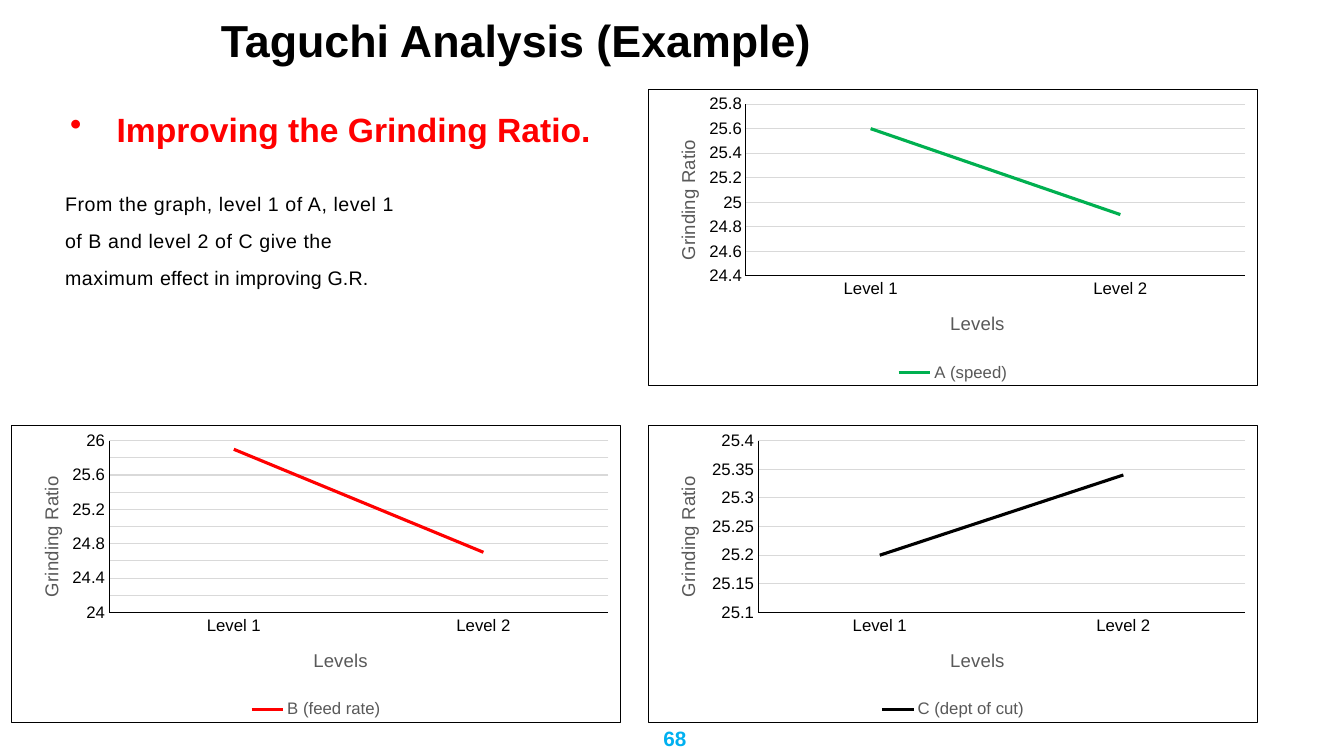
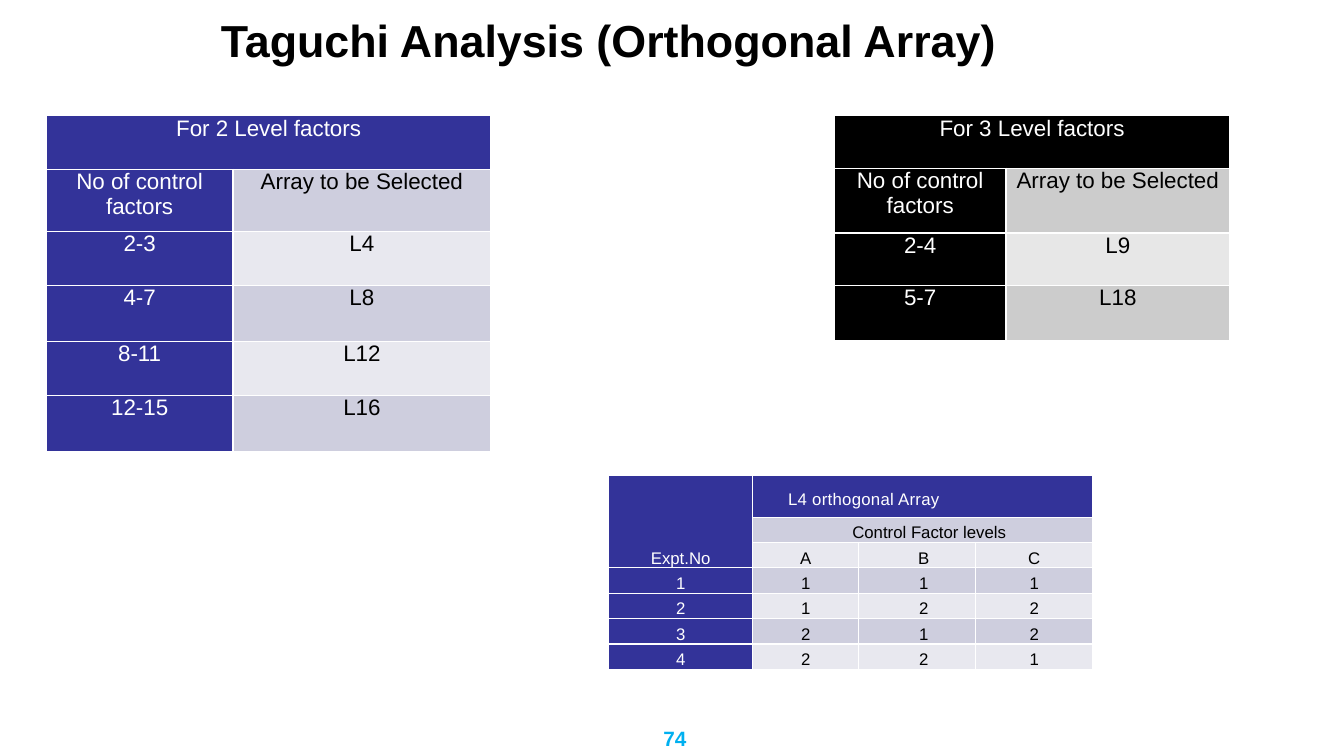
from dataclasses import dataclass

from pptx import Presentation
from pptx.chart.data import CategoryChartData
from pptx.dml.color import RGBColor
from pptx.enum.chart import XL_CHART_TYPE, XL_LEGEND_POSITION, XL_TICK_MARK
from pptx.enum.text import MSO_ANCHOR, MSO_AUTO_SIZE, PP_ALIGN
from pptx.oxml import parse_xml
from pptx.oxml.ns import nsdecls
from pptx.util import Cm, Pt

LINE_CHART = XL_CHART_TYPE.LINE
LEGEND_BOTTOM = XL_LEGEND_POSITION.BOTTOM
NO_TICK = XL_TICK_MARK.NONE
TOP, MIDDLE, BOTTOM = MSO_ANCHOR.TOP, MSO_ANCHOR.MIDDLE, MSO_ANCHOR.BOTTOM
NO_FIT = MSO_AUTO_SIZE.NONE
LEFT, CENTER = PP_ALIGN.LEFT, PP_ALIGN.CENTER
TITLE_ONLY = 5


@dataclass(frozen=True)
class Theme:
    font: str = "Arial"
    black: str = "000000"
    white: str = "FFFFFF"
    red: str = "FF0000"
    green: str = "00B050"
    cyan: str = "00B0F0"
    gray: str = "595959"
    grid: str = "D9D9D9"
    indigo_table: tuple = ("333399", "CECEDE", "E8E8EF")
    black_table: tuple = ("000000", "CCCCCC", "E7E7E7")
    title_size: float = 32
    heading_size: float = 24
    table_size: float = 16
    page_size: float = 14.8
    body_size: float = 14
    axis_title_size: float = 13.3
    small_size: float = 12
    table_line: float = 17.8


THEME = Theme()


def style_font(font, size, color, bold=False):
    font.name = THEME.font
    font.size = Pt(size)
    font.bold = bold
    font.color.rgb = RGBColor.from_string(color)


def style_line(line, color, width):
    line.color.rgb = RGBColor.from_string(color)
    line.width = Pt(width)


def add_text_box(slide, left, top, width, height):
    shape = slide.shapes.add_textbox(Cm(left), Cm(top), Cm(width), Cm(height))
    shape.text_frame.word_wrap = True
    return shape.text_frame.paragraphs[0]


def add_titled_slide(presentation, title, page):
    slide = presentation.slides.add_slide(presentation.slide_layouts[TITLE_ONLY])
    shape = slide.shapes.title
    shape.left, shape.top, shape.width, shape.height = Cm(5.31), Cm(0.41), Cm(28.52), Cm(1.2)
    frame = shape.text_frame
    frame.text = title
    frame.auto_size = NO_FIT
    frame.vertical_anchor = MIDDLE
    frame.paragraphs[0].alignment = LEFT
    style_font(frame.paragraphs[0].runs[0].font, THEME.title_size, THEME.black, True)

    paragraph = add_text_box(slide, 15.65, 18.16, 2.72, 0.89)
    paragraph.text = page
    paragraph.alignment = CENTER
    style_font(paragraph.runs[0].font, THEME.page_size, THEME.cyan, True)
    return slide


def add_heading(slide, left, top, width, text):
    paragraph = add_text_box(slide, left, top, width, 1.8)
    paragraph.text = text
    paragraph.line_spacing = 1.5
    properties = paragraph._p.get_or_add_pPr()
    properties.set("marL", str(Cm(1.17)))
    properties.set("indent", str(Cm(-1.17)))
    properties.append(parse_xml(f'<a:buChar {nsdecls("a")} char="•"/>'))
    style_font(paragraph.runs[0].font, THEME.heading_size, THEME.red, True)


def add_conclusion(slide, left, top, width, parts):
    paragraph = add_text_box(slide, left, top, width, 2.95)
    paragraph.line_spacing = 1.57
    paragraph._p.get_or_add_pPr().set("marL", str(Cm(0.25)))
    for text, spacing in parts:
        run = paragraph.add_run()
        run.text = text
        style_font(run.font, THEME.body_size, THEME.black)
        run._r.get_or_add_rPr().set("spc", str(spacing))


def make_layout(x, y, size=None):
    target = ""
    extent = ""
    if size:
        target = '<c:layoutTarget val="inner"/>'
        extent = f'<c:w val="{size[0]}"/><c:h val="{size[1]}"/>'
    return parse_xml(
        f'<c:layout {nsdecls("c")}><c:manualLayout>{target}'
        '<c:xMode val="edge"/><c:yMode val="edge"/>'
        f'<c:x val="{x}"/><c:y val="{y}"/>{extent}</c:manualLayout></c:layout>'
    )


def remove_layout(element):
    for layout in element.xpath("./c:layout"):
        element.remove(layout)


def style_axis(axis, title, x, y):
    axis.major_tick_mark = NO_TICK
    axis.minor_tick_mark = NO_TICK
    style_line(axis.format.line, THEME.black, 0.75)
    style_font(axis.tick_labels.font, THEME.small_size, THEME.black)
    frame = axis.axis_title.text_frame
    frame.text = title
    style_font(frame.paragraphs[0].runs[0].font, THEME.axis_title_size, THEME.gray)
    element = axis.axis_title.element
    remove_layout(element)
    element.xpath("./c:tx")[0].addnext(make_layout(x, y))


def add_level_chart(slide, left, top, name, values, scale, color, plot_left=0.16):
    data = CategoryChartData()
    data.categories = ["Level 1", "Level 2"]
    data.add_series(name, values)
    frame = slide.shapes.add_chart(LINE_CHART, Cm(left), Cm(top), Cm(15.37), Cm(7.49), data)
    chart = frame.chart
    chart.has_title = False
    style_font(chart.font, THEME.small_size, THEME.black)
    chart.has_legend = True
    chart.legend.position = LEGEND_BOTTOM
    chart.legend.include_in_layout = False
    style_font(chart.legend.font, THEME.small_size, THEME.gray)

    style_axis(chart.category_axis, "Levels", 0.49, 0.74)
    value_axis = chart.value_axis
    style_axis(value_axis, "Grinding Ratio", 0.04, 0.16)
    value_axis.minimum_scale, value_axis.maximum_scale, value_axis.major_unit = scale
    value_axis.tick_labels.number_format = "General"
    value_axis.tick_labels.number_format_is_linked = False
    value_axis.has_major_gridlines = True
    style_line(value_axis.major_gridlines.format.line, THEME.grid, 0.75)

    plot = chart.plots[0]
    plot.vary_by_categories = False
    plot.series[0].smooth = False
    style_line(plot.series[0].format.line, color, 2.25)

    area = chart.element.xpath(".//c:plotArea")[0]
    remove_layout(area)
    area.insert(0, make_layout(plot_left, 0.05, (round(0.98 - plot_left, 2), 0.58)))
    chart.element.xpath("./c:chart")[0].addnext(parse_xml(
        f'<c:spPr {nsdecls("c", "a")}>'
        f'<a:solidFill><a:srgbClr val="{THEME.white}"/></a:solidFill>'
        f'<a:ln w="{Pt(0.75)}"><a:solidFill><a:srgbClr val="{THEME.black}"/></a:solidFill></a:ln>'
        '</c:spPr>'
    ))


def style_cell(cell, fill, anchor, margin):
    cell.fill.solid()
    cell.fill.fore_color.rgb = RGBColor.from_string(fill)
    cell.vertical_anchor = anchor
    cell.margin_left = cell.margin_right = Cm(margin)
    cell.margin_top = cell.margin_bottom = Cm(0)
    properties = cell._tc.get_or_add_tcPr()
    for position, side in enumerate("LRTB"):
        properties.insert(position, parse_xml(
            f'<a:ln{side} {nsdecls("a")} w="{Pt(1)}"><a:solidFill>'
            f'<a:srgbClr val="{THEME.white}"/></a:solidFill></a:ln{side}>'
        ))


def add_grid(slide, left, top, widths, heights, rows, palette, size, anchor, margin, merges):
    frame = slide.shapes.add_table(
        len(rows), len(widths), Cm(left), Cm(top), Cm(sum(widths)), Cm(sum(heights)))
    table = frame.table
    table.first_row = table.horz_banding = False
    for column, width in zip(table.columns, widths):
        column.width = Cm(width)
    for row, height in zip(table.rows, heights):
        row.height = Cm(height)
    header, *bands = palette
    for row_index, texts in enumerate(rows):
        for column_index, text in enumerate(texts):
            cell = table.cell(row_index, column_index)
            is_header = row_index == 0 or column_index == 0
            fill = header if is_header else bands[(row_index - 1) % 2]
            style_cell(cell, fill, anchor, margin)
            paragraph = cell.text_frame.paragraphs[0]
            paragraph.alignment = CENTER
            paragraph.line_spacing = Pt(THEME.table_line)
            color = THEME.white if is_header else THEME.black
            style_font(paragraph.font, size, color)
            if text:
                paragraph.text = text
                style_font(paragraph.runs[0].font, size, color)
    for first, last in merges:
        table.cell(*first).merge(table.cell(*last))
    return table


def add_selection_table(slide, left, top, widths, heights, levels, choices, palette):
    rows = [(f"For {levels} Level factors", ""),
            ("No of control factors", "Array to be Selected"), *choices]
    add_grid(slide, left, top, widths, heights, rows, palette,
             THEME.table_size, TOP, 0.18, [((0, 0), (0, 1))])


def add_array_table(slide, left, top):
    rows = [
        ("Expt.No", "L4 orthogonal Array", "", ""),
        ("", "Control Factor levels", "", ""),
        ("", "A", "B", "C"),
        ("1", "1", "1", "1"),
        ("2", "1", "2", "2"),
        ("3", "2", "1", "2"),
        ("4", "2", "2", "1"),
    ]
    merges = [((0, 0), (2, 0)), ((0, 1), (0, 3)), ((1, 1), (1, 3))]
    table = add_grid(slide, left, top, (3.63, 2.67, 2.95, 2.95), [1.04] + [0.64] * 6, rows,
                     THEME.indigo_table, THEME.small_size, MIDDLE, 0, merges)
    table.cell(0, 0).vertical_anchor = BOTTOM
    array_title = table.cell(0, 1)
    array_title.margin_left = Cm(0.89)
    array_title.text_frame.paragraphs[0].alignment = LEFT
    array_title.text_frame.paragraphs[0].runs[0]._r.get_or_add_rPr().set("spc", "20")
    table.cell(1, 1).margin_left = Cm(0.33)
    for row_index in range(2, len(rows)):
        table.cell(row_index, 2).margin_left = Cm(0.33)


def build_example_slide(presentation):
    slide = add_titled_slide(presentation, "Taguchi Analysis (Example)", "68")
    add_heading(slide, 1.52, 2.1, 14.5, "Improving the Grinding Ratio.")
    add_conclusion(slide, 1.14, 4.38, 9.53, [
        ("From the graph, level 1 of A, level 1 of B and level 2 of C give the maximum ", 40),
        ("effect in improving G.R.", 10),
    ])
    left, right, upper, lower = 0.28, 16.33, 2.24, 10.72
    add_level_chart(slide, right, upper, "A (speed)", (25.6, 24.9), (24.4, 25.8, 0.2), THEME.green)
    add_level_chart(slide, left, lower, "B (feed rate)", (25.9, 24.7), (24, 26, 0.2), THEME.red)
    add_level_chart(slide, right, lower, "C (dept of cut)", (25.2, 25.34), (25.1, 25.4, 0.05),
                    THEME.black, 0.18)


def build_array_slide(presentation):
    slide = add_titled_slide(presentation, "Taguchi Analysis (Orthogonal Array)", "74")
    add_selection_table(
        slide, 1.17, 2.92, (4.7, 6.5), (1.35, 1.57, 1.35, 1.42, 1.35, 1.42), 2,
        [("2-3", "L4"), ("4-7", "L8"), ("8-11", "L12"), ("12-15", "L16")], THEME.indigo_table)
    add_selection_table(
        slide, 21.03, 2.92, (4.32, 5.64), (1.32, 1.63, 1.32, 1.4), 3,
        [("2-4", "L9"), ("5-7", "L18")], THEME.black_table)
    add_array_table(slide, 15.34, 11.99)


def main():
    presentation = Presentation()
    presentation.slide_width, presentation.slide_height = Cm(33.87), Cm(19.05)
    build_example_slide(presentation)
    build_array_slide(presentation)
    presentation.save("out.pptx")


if __name__ == "__main__":
    main()
